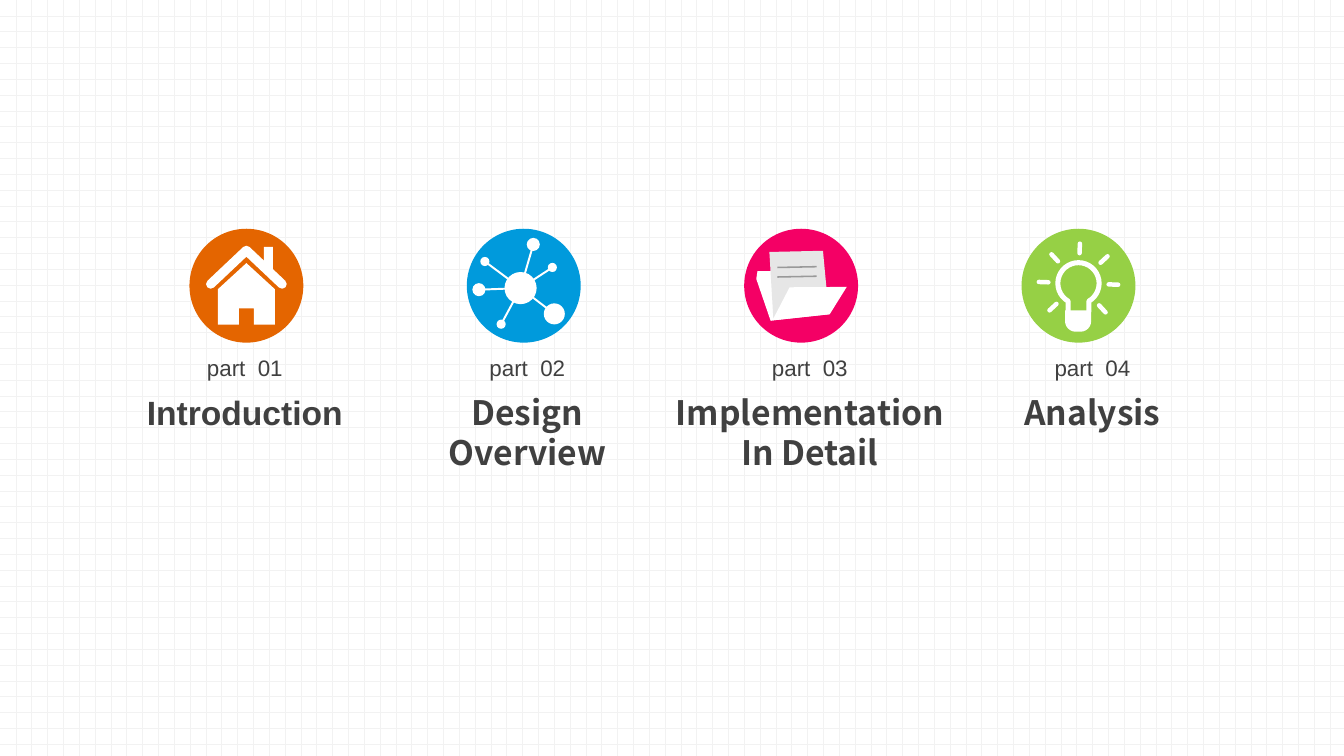
from dataclasses import dataclass
from math import cos, radians, sin
from typing import Callable

from lxml.etree import SubElement
from pptx import Presentation
from pptx.dml.color import RGBColor
from pptx.enum.dml import MSO_PATTERN as Pattern
from pptx.enum.shapes import MSO_CONNECTOR as Link, MSO_SHAPE as Preset
from pptx.enum.text import MSO_AUTO_SIZE as Fit, PP_ALIGN as Align
from pptx.oxml.ns import qn
from pptx.util import Cm, Pt

WHITE = RGBColor(0xFF, 0xFF, 0xFF)
GRID = RGBColor(0xF2, 0xF2, 0xF2)
INK = RGBColor(0x40, 0x40, 0x40)
PAPER = RGBColor(0xE6, 0xE6, 0xE6)
GREY = RGBColor(0x99, 0x99, 0x99)
ORANGE = RGBColor(0xE4, 0x65, 0x00)
BLUE = RGBColor(0x00, 0x9A, 0xDC)
PINK = RGBColor(0xF4, 0x00, 0x65)
GREEN = RGBColor(0x96, 0xD0, 0x45)

SANS = "Arial"
NOTO = "Noto Sans CJK SC"

Point = tuple[float, float]

deck = Presentation()
deck.slide_width, deck.slide_height = Cm(33.87), Cm(19.05)
slide = deck.slides.add_slide(deck.slide_layouts[6])
shapes = slide.shapes


@dataclass
class Icon:
    x: float
    y: float

    def paint(self, shape, color: RGBColor) -> None:
        shape.shadow.inherit = False
        shape.fill.solid()
        shape.fill.fore_color.rgb = color
        shape.line.fill.background()

    def preset(self, kind: Preset, left: float, top: float, wide: float,
               high: float, color: RGBColor = WHITE):
        shape = shapes.add_shape(kind, Cm(self.x + left), Cm(self.y + top),
                                 Cm(wide), Cm(high))
        self.paint(shape, color)
        return shape

    def disc(self, x: float, y: float, size: float, color: RGBColor = WHITE) -> None:
        self.preset(Preset.OVAL, x - size / 2, y - size / 2, size, size, color)

    def outline(self, points: list[Point], close: bool):
        spots = [(Cm(self.x + x), Cm(self.y + y)) for x, y in points]
        maker = shapes.build_freeform(*spots[0])
        maker.add_line_segments(spots[1:], close=close)
        return maker.convert_to_shape()

    def patch(self, points: list[Point], color: RGBColor = WHITE) -> None:
        self.paint(self.outline(points, True), color)

    def pen(self, shape, width: float, color: RGBColor = WHITE) -> None:
        shape.line.color.rgb = color
        shape.line.width = Pt(width)

    def cap(self, shape) -> None:
        line = shape._element.spPr.find(qn("a:ln"))
        line.set("cap", "rnd")
        SubElement(line, qn("a:round"))

    def stroke(self, points: list[Point], width: float) -> None:
        shape = self.outline(points, False)
        shape.shadow.inherit = False
        shape.fill.background()
        self.pen(shape, width)
        self.cap(shape)

    def line(self, start: Point, end: Point, width: float,
             color: RGBColor = WHITE, blunt: bool = True) -> None:
        link = shapes.add_connector(
            Link.STRAIGHT, Cm(self.x + start[0]), Cm(self.y + start[1]),
            Cm(self.x + end[0]), Cm(self.y + end[1]))
        self.pen(link, width, color)
        if not blunt:
            self.cap(link)
        SubElement(link._element.spPr, qn("a:effectLst"))


def house(icon: Icon) -> None:
    half = [(0, -.57), (.72, .09), (.72, .98), (.19, .98), (.19, .57)]
    icon.patch(half + [(-x, y) for x, y in half[:0:-1]])
    icon.preset(Preset.RECTANGLE, .44, -.98, .23, .6)
    icon.stroke([(-.9, -.04), (0, -.89), (.9, -.04)], 6.6)


def network(icon: Icon) -> None:
    hub = (-.08, .06)
    nodes = [(-1.13, .1, .33), (.77, .71, .53), (.24, -1.04, .33),
             (-.98, -.61, .23), (.72, -.46, .23), (-.57, .97, .23)]
    for x, y, size in nodes:
        icon.line(hub, (x, y), 1.4)
        icon.disc(x, y, size)
    icon.disc(*hub, .81)


def folder(icon: Icon) -> None:
    icon.patch([(-.77, .88), (-1.13, -.17), (-1.1, -.37), (-.42, -.37),
                (-.27, -.19), (.57, -.19), (.7, .72)])
    icon.patch([(-.7, .83), (-.8, -.85), (.55, -.88), (.7, .7)], PAPER)
    icon.patch([(-.77, .88), (-.7, .83), (-.29, .04), (1.15, .03), (.72, .72)])
    for y in (-.46, -.22):
        icon.line((-.6, y), (.39, y - .02), 1.1, GREY)


def polar(size: float, turn: float) -> Point:
    return size * cos(radians(turn)), size * sin(radians(turn)) - .06


def bulb(icon: Icon) -> None:
    arc = [polar(.52, turn) for turn in range(120, 421, 10)]
    icon.stroke([(-.26, .65), *arc, (.26, .65)], 3.6)
    base = icon.preset(Preset.ROUND_2_SAME_RECTANGLE, -.34, .62, .66, .54)
    base.adjustments[0] = 0
    base.adjustments[1] = .5
    for turn in range(137, 408, 45):
        icon.line(polar(.76, turn), polar(1, turn), 3.2, blunt=False)


def write(text: str, *, mid: float, top: float, wide: float, high: float,
          size: float, face: str, bold: bool = False) -> None:
    box = shapes.add_textbox(Cm(mid - wide / 2), Cm(top), Cm(wide), Cm(high))
    frame = box.text_frame
    frame.word_wrap = True
    frame.auto_size = Fit.SHAPE_TO_FIT_TEXT
    frame.text = text
    for para in frame.paragraphs:
        para.alignment = Align.CENTER
        font = para.runs[0].font
        font.name, font.size, font.bold = face, Pt(size), bold
        font.color.rgb = INK


@dataclass
class Part:
    name: str
    color: RGBColor
    draw: Callable[[Icon], None]
    face: str = NOTO
    wide: float = 6.32
    high: float = 1.27


PARTS = [
    Part("Introduction", ORANGE, house, face=SANS),
    Part("Design Overview", BLUE, network, high=2.31),
    Part("Implementation\nIn Detail", PINK, folder, wide=7.62, high=2.31),
    Part("Analysis", GREEN, bulb),
]


def main() -> None:
    fill = slide.background.fill
    fill.patterned()
    fill.pattern = Pattern.DOTTED_GRID
    fill.fore_color.rgb = GRID
    fill.back_color.rgb = WHITE
    for step, part in enumerate(PARTS):
        icon = Icon(6.21 + 6.99 * step, 7.2)
        icon.disc(0, 0, 2.87, part.color)
        part.draw(icon)
        mid = 6.17 + 7.12 * step
        write(f"part  {step + 1:02}", mid=mid, top=8.81, wide=2.79, high=.94,
              size=16, face=SANS)
        write(part.name, mid=mid, top=9.75, wide=part.wide, high=part.high,
              size=24, face=part.face, bold=True)
    deck.save("out.pptx")


if __name__ == "__main__":
    main()
